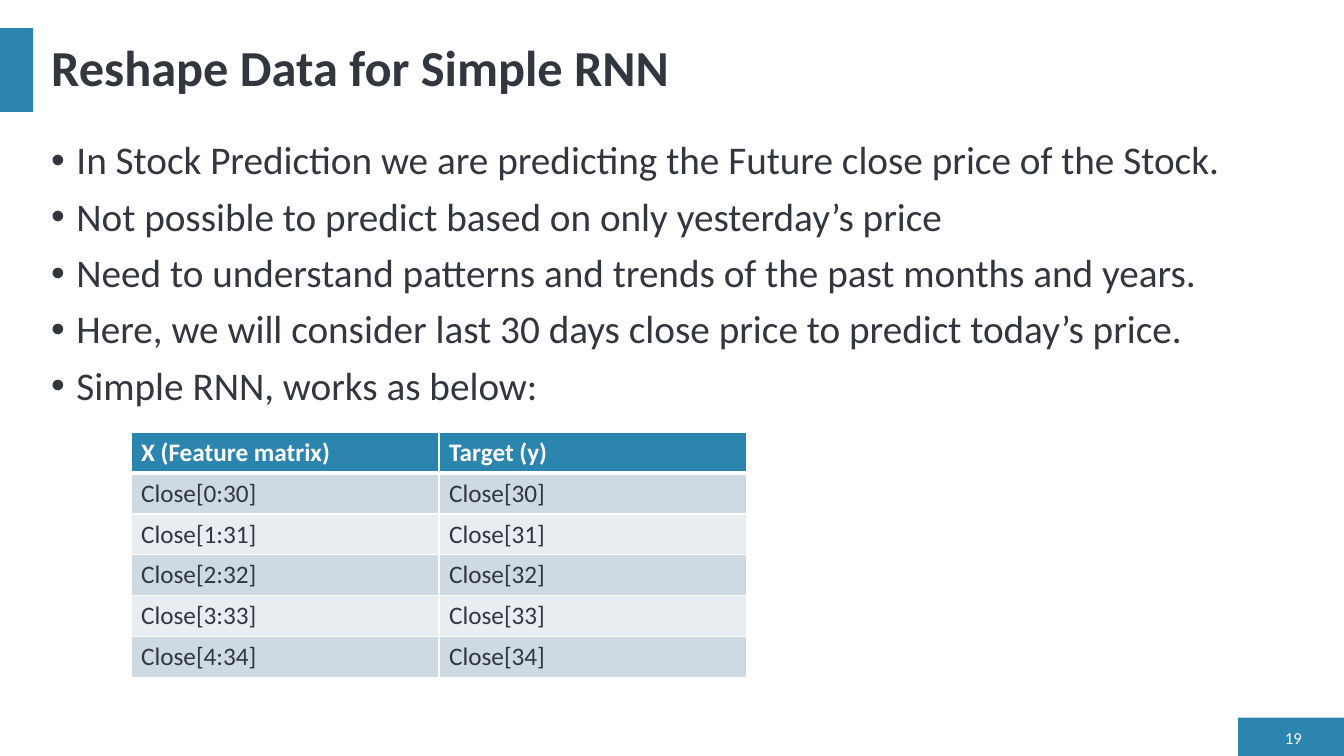
import pptx
import pptx.util
import pptx.dml.color
import pptx.enum.shapes
import pptx.enum.text
import pptx.oxml
import pptx.oxml.ns

Inches = pptx.util.Inches
BLUE = pptx.dml.color.RGBColor(0x2C, 0x85, 0xAE)
INK = pptx.dml.color.RGBColor(0x32, 0x36, 0x3F)
WHITE = pptx.dml.color.RGBColor(0xFF, 0xFF, 0xFF)
BAND_DARK = pptx.dml.color.RGBColor(0xCD, 0xD9, 0xE3)
BAND_LIGHT = pptx.dml.color.RGBColor(0xE8, 0xED, 0xF2)
MIDDLE = pptx.enum.text.MSO_ANCHOR.MIDDLE
TOP = pptx.enum.text.MSO_ANCHOR.TOP
NS = pptx.oxml.ns.nsdecls("a")


def write(frame, *lines, size, color=INK, bold=False, anchor=TOP,
          align=pptx.enum.text.PP_ALIGN.LEFT, spacing=1.0, before=0, bullet=False):
    frame.word_wrap = True
    frame.vertical_anchor = anchor
    for index, line in enumerate(lines):
        paragraph = frame.add_paragraph() if index else frame.paragraphs[0]
        paragraph.alignment = align
        paragraph.line_spacing = spacing
        paragraph.space_before = pptx.util.Pt(before if index else 0)
        if bullet:
            properties = paragraph._p.get_or_add_pPr()
            properties.set("marL", str(Inches(0.25)))
            properties.set("indent", str(Inches(-0.25)))
            properties.append(pptx.oxml.parse_xml(f'<a:buFont {NS} typeface="Arial"/>'))
            properties.append(pptx.oxml.parse_xml(f'<a:buChar {NS} char="•"/>'))
        run = paragraph.add_run()
        run.text = line
        run.font.name = "Calibri"
        run.font.size = pptx.util.Pt(size)
        run.font.bold = bold
        run.font.color.rgb = color


deck = pptx.Presentation()
deck.slide_width = Inches(13.33)
deck.slide_height = Inches(7.5)
slide = deck.slides.add_slide(deck.slide_layouts[6])
shapes = slide.shapes

for left, top, width, height in [(12.28, 7.12, 1.05, 0.38), (0, 0.28, 0.33, 0.83)]:
    accent = shapes.add_shape(pptx.enum.shapes.MSO_SHAPE.RECTANGLE,
                              Inches(left), Inches(top), Inches(width), Inches(height))
    accent.shadow.inherit = False
    accent.fill.solid()
    accent.fill.fore_color.rgb = BLUE
    accent.line.fill.background()

title = shapes.add_textbox(Inches(0.41), Inches(0.28), Inches(12.6), Inches(0.83))
write(title.text_frame, "Reshape Data for Simple RNN",
      size=36, bold=True, anchor=MIDDLE, spacing=0.9)

points = shapes.add_textbox(Inches(0.41), Inches(1.35), Inches(12.6), Inches(5.61))
write(points.text_frame,
      "In Stock Prediction we are predicting the Future close price of the Stock.",
      "Not possible to predict based on only yesterday’s price",
      "Need to understand patterns and trends of the past months and years.",
      "Here, we will consider last 30 days close price to predict today’s price.",
      "Simple RNN, works as below:",
      size=28, spacing=0.9, before=10, bullet=True)

page_number = shapes.add_textbox(Inches(12.6), Inches(7.2), Inches(0.41), Inches(0.23))
write(page_number.text_frame, "19", size=12, color=WHITE, anchor=MIDDLE,
      align=pptx.enum.text.PP_ALIGN.RIGHT)

rows = [("X (Feature matrix)", "Target (y)")]
rows += [(f"Close[{day}:{day + 30}]", f"Close[{day + 30}]") for day in range(5)]
windows = shapes.add_table(len(rows), 2, Inches(1.3), Inches(4.29),
                           Inches(6.11), Inches(2.43)).table
for row, texts in enumerate(rows):
    header = row == 0
    band = BLUE if header else BAND_DARK if row % 2 else BAND_LIGHT
    borders = {"lnL": 1, "lnR": 1, "lnT": 3 if row == 1 else 1, "lnB": 3 if header else 1}
    for column, text in enumerate(texts):
        cell = windows.cell(row, column)
        cell.fill.solid()
        cell.fill.fore_color.rgb = band
        write(cell.text_frame, text, size=18, bold=header, color=WHITE if header else INK)
        for position, (side, points_wide) in enumerate(borders.items()):
            cell._tc.get_or_add_tcPr().insert(position, pptx.oxml.parse_xml(
                f'<a:{side} {NS} w="{pptx.util.Pt(points_wide)}"><a:solidFill>'
                f'<a:srgbClr val="{WHITE}"/></a:solidFill></a:{side}>'))

deck.save("out.pptx")
